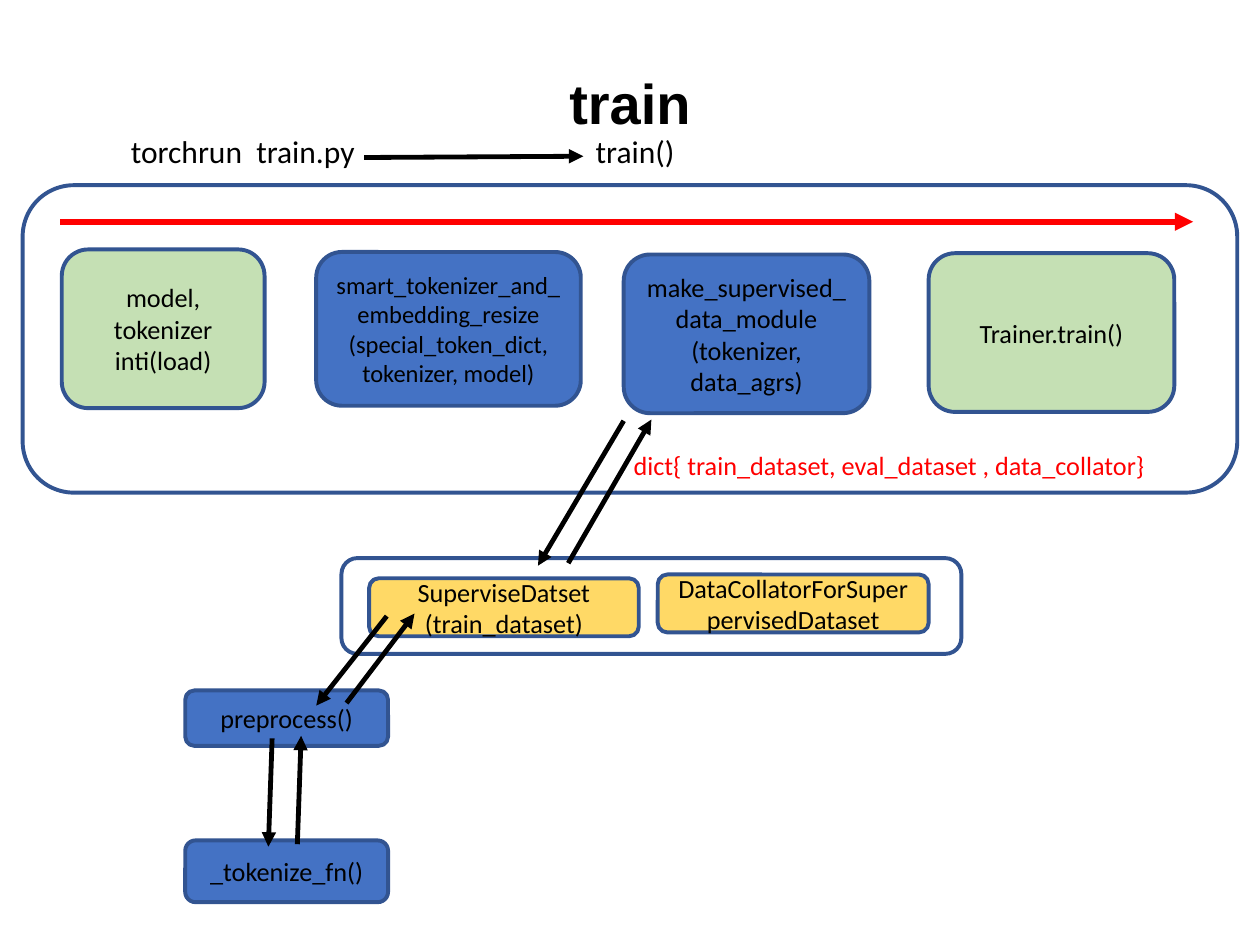
from dataclasses import dataclass

from lxml.etree import SubElement
from pptx import Presentation
from pptx.dml.color import RGBColor
from pptx.enum.shapes import MSO_CONNECTOR, MSO_SHAPE
from pptx.enum.text import MSO_ANCHOR, PP_ALIGN
from pptx.oxml.ns import qn
from pptx.util import Inches, Pt


@dataclass(frozen=True)
class Theme:
    white: str = "FFFFFF"
    black: str = "000000"
    red: str = "FF0000"
    outline: str = "325491"
    blue: str = "4472C4"
    yellow: str = "FFD966"
    green: str = "C5E0B4"
    title_font: str = "Arial"
    body_font: str = "Calibri"
    title_size: float = 32
    call_size: float = 18
    body_size: float = 15
    small_size: float = 14
    outline_width: float = 2.25
    arrow_width: float = 2.75
    flow_width: float = 3.5


class FlowSlide:
    """Draws the parts of a call-flow diagram on one slide in one theme."""

    def __init__(self, slide, theme):
        self.slide = slide
        self.theme = theme

    def set_text(self, frame, text, size, color, align, font=None, bold=False):
        frame.word_wrap = True
        frame.text = text
        for paragraph in frame.paragraphs:
            paragraph.alignment = align
            for run in paragraph.runs:
                run.font.name = font or self.theme.body_font
                run.font.size = Pt(size)
                run.font.bold = bold
                run.font.color.rgb = RGBColor.from_string(color)

    def title(self, text, left, top, width, height):
        heading = self.slide.shapes.add_textbox(*map(Inches, (left, top, width, height)))
        heading.text_frame.vertical_anchor = MSO_ANCHOR.MIDDLE
        self.set_text(heading.text_frame, text, self.theme.title_size, self.theme.black,
                      PP_ALIGN.CENTER, self.theme.title_font, True)
        heading.text_frame.paragraphs[0].line_spacing = 0.9

    def label(self, text, left, top, width, height, size, color):
        caption = self.slide.shapes.add_textbox(*map(Inches, (left, top, width, height)))
        self.set_text(caption.text_frame, text, size, color, PP_ALIGN.LEFT)

    def box(self, left, top, width, height, fill, text="", size=None):
        step = self.slide.shapes.add_shape(
            MSO_SHAPE.ROUNDED_RECTANGLE, *map(Inches, (left, top, width, height)))
        step.shadow.inherit = False
        step.fill.solid()
        step.fill.fore_color.rgb = RGBColor.from_string(fill)
        step.line.color.rgb = RGBColor.from_string(self.theme.outline)
        step.line.width = Pt(self.theme.outline_width)
        if text:
            step.text_frame.vertical_anchor = MSO_ANCHOR.MIDDLE
            self.set_text(step.text_frame, text, size or self.theme.body_size,
                          self.theme.black, PP_ALIGN.CENTER)

    def arrow(self, start, end, color=None, width=None):
        link = self.slide.shapes.add_connector(
            MSO_CONNECTOR.STRAIGHT, *map(Inches, (*start, *end)))
        link.line.color.rgb = RGBColor.from_string(color or self.theme.black)
        link.line.width = Pt(width or self.theme.arrow_width)
        properties = link.element.spPr
        SubElement(properties.find(qn("a:ln")), qn("a:tailEnd"), type="triangle")
        SubElement(properties, qn("a:effectLst"))


def main():
    deck = Presentation()
    deck.slide_width, deck.slide_height = Inches(10), Inches(7.5)
    theme = Theme()
    flow = FlowSlide(deck.slides.add_slide(deck.slide_layouts[6]), theme)

    flow.box(2.71, 4.43, 4.92, 0.76, theme.white)
    flow.title("train", 0.69, 0.4, 8.62, 0.89)
    flow.box(0.18, 1.47, 9.64, 2.44, theme.white)

    flow.box(0.49, 1.98, 1.61, 1.26, theme.green, "model, tokenizer inti(load)")
    flow.box(2.51, 2, 2.1, 1.22, theme.blue,
             "smart_tokenizer_and_embedding_resize\n(special_token_dict, tokenizer, model)",
             theme.small_size)
    flow.box(4.95, 2.02, 1.95, 1.26, theme.blue,
             "make_supervised_data_module\n(tokenizer, data_agrs)")
    flow.box(7.37, 2.01, 1.95, 1.26, theme.green, "Trainer.train()")

    flow.box(2.93, 4.59, 2.14, 0.46, theme.yellow, "SuperviseDatset\n(train_dataset)")
    flow.box(5.22, 4.56, 2.15, 0.46, theme.yellow, "DataCollatorForSuperpervisedDataset")
    flow.box(1.47, 5.48, 1.61, 0.44, theme.blue, "preprocess()")
    flow.box(1.47, 6.67, 1.61, 0.49, theme.blue, "_tokenize_fn()")

    flow.label("torchrun  train.py", 0.94, 1, 2.42, 0.4, theme.call_size, theme.black)
    flow.label("train()", 4.63, 1, 1.34, 0.49, theme.call_size, theme.black)
    flow.label("dict{ train_dataset, eval_dataset , data_collator}",
               4.93, 3.52, 4.86, 0.35, theme.body_size, theme.red)

    flow.arrow((0.48, 1.76), (9.47, 1.76), theme.red, theme.flow_width)
    calls_and_returns = [
        ((2.89, 1.25), (4.63, 1.24)),
        ((4.95, 3.34), (4.27, 4.49)),
        ((4.51, 4.47), (5.17, 3.33)),
        ((3.07, 4.89), (2.51, 5.6)),
        ((2.75, 5.58), (3.29, 4.87)),
        ((2.16, 5.86), (2.13, 6.72)),
        ((2.36, 6.7), (2.39, 5.84)),
    ]
    for start, end in calls_and_returns:
        flow.arrow(start, end)

    deck.save("out.pptx")


if __name__ == "__main__":
    main()
